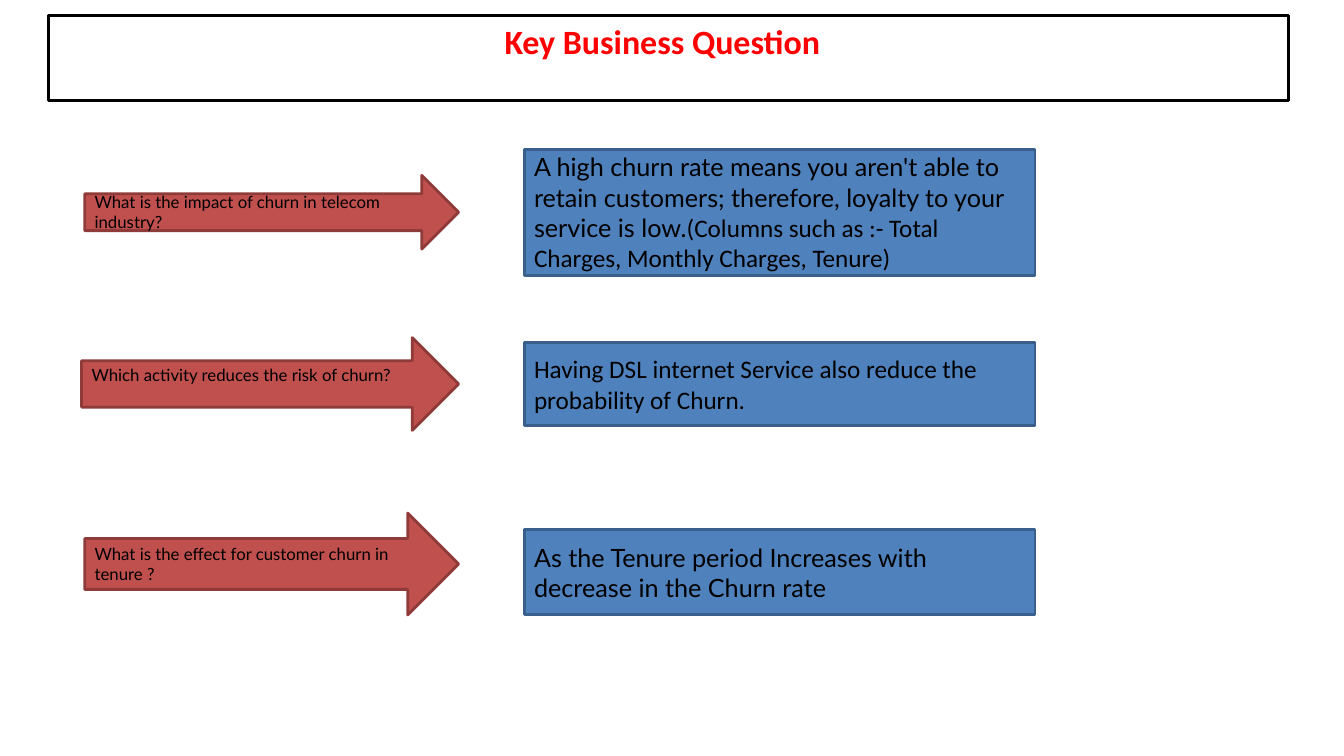
import pptx
import pptx.dml.color
import pptx.enum.shapes
import pptx.enum.text
import pptx.util

Pt = pptx.util.Pt
SHAPE = pptx.enum.shapes.MSO_SHAPE
ANCHOR = pptx.enum.text.MSO_ANCHOR
ALIGN = pptx.enum.text.PP_ALIGN

COLOURS = {
    "title": "FF0000",
    "text": "000000",
    "frame": "000000",
    "question": "C0504D",
    "question_line": "8E3B39",
    "answer": "4F81BD",
    "answer_line": "3A5F8C",
}

# Each row: question, arrow box, extra bottom inset, answer spans, answer box
ROWS = [
    ("What is the impact of churn in telecom industry?",
     (60.5, 125.3, 267.1, 52.6), 0,
     [("A high churn rate means you aren't able to retain customers; "
       "therefore, loyalty to your service is low.", "Lato"),
      ("(Columns such as :- Total Charges, Monthly Charges, Tenure)", "Calibri")],
     (374.4, 106.6, 365, 90)),
    ("Which activity reduces the risk of churn?",
     (58.3, 241.2, 269.3, 66.2), 13,
     [("Having DSL internet Service also reduce the probability of Churn.", "Calibri")],
     (374.4, 244.8, 365, 59)),
    ("What is the effect for customer churn in tenure ?",
     (60.5, 366.5, 267.1, 72.7), 0,
     [("As the Tenure period Increases with decrease in the Churn rate", "Lato")],
     (374.4, 378, 365, 61.2)),
]


def colour(name):
    return pptx.dml.color.RGBColor.from_string(COLOURS[name])


def apply(target, values):
    for name, value in values.items():
        setattr(target, name, value)


def write(shape, spans, size, align, anchor, ink="text", bold=False):
    frame = shape.text_frame
    apply(frame, {"word_wrap": True, "vertical_anchor": anchor,
                  "auto_size": pptx.enum.text.MSO_AUTO_SIZE.NONE})
    para = frame.paragraphs[0]
    para.alignment = align
    for text, font in spans:
        span = para.add_run()
        span.text = text
        apply(span.font, {"name": font, "size": Pt(size), "bold": bold})
        span.font.color.rgb = colour(ink)


def add_block(page, kind, box, line, fill=None):
    shape = page.shapes.add_shape(kind, *map(Pt, box))
    shape.shadow.inherit = False
    if fill:
        shape.fill.solid()
        shape.fill.fore_color.rgb = colour(fill)
    else:
        shape.fill.background()
    shape.line.color.rgb = colour(line)
    shape.line.width = Pt(2)
    return shape


def add_heading(page, box):
    left, top, width, height = box
    title = page.shapes.title
    apply(title, {"left": Pt(left + 4.3), "top": Pt(top),
                  "width": Pt(width - 4.3), "height": Pt(height)})
    # The wider right inset sets the words slightly left of centre
    title.text_frame.margin_right = Pt(20)
    write(title, [("Key Business Question", "Calibri")], 24.3,
          ALIGN.CENTER, ANCHOR.TOP, "title", True)
    add_block(page, SHAPE.RECTANGLE, box, "frame")


def add_question(page, box, question, lift):
    arrow = add_block(page, SHAPE.RIGHT_ARROW, box, "question_line", "question")
    arrow.text_frame.margin_bottom = Pt(3.6 + lift)
    write(arrow, [(question, "Lato")], 12, ALIGN.LEFT, ANCHOR.MIDDLE)


def add_answer(page, box, spans):
    panel = add_block(page, SHAPE.RECTANGLE, box, "answer_line", "answer")
    write(panel, spans, 18, ALIGN.LEFT, ANCHOR.MIDDLE)


def main():
    deck = pptx.Presentation()
    apply(deck, {"slide_width": Pt(960), "slide_height": Pt(540)})
    page = deck.slides.add_slide(deck.slide_layouts[5])

    # Framed heading
    add_heading(page, (34.6, 10.8, 885.6, 61.2))

    # Questions on the left, answers on the right
    for question, arrow_box, lift, spans, answer_box in ROWS:
        add_question(page, arrow_box, question, lift)
        add_answer(page, answer_box, spans)

    deck.save("out.pptx")


if __name__ == "__main__":
    main()
